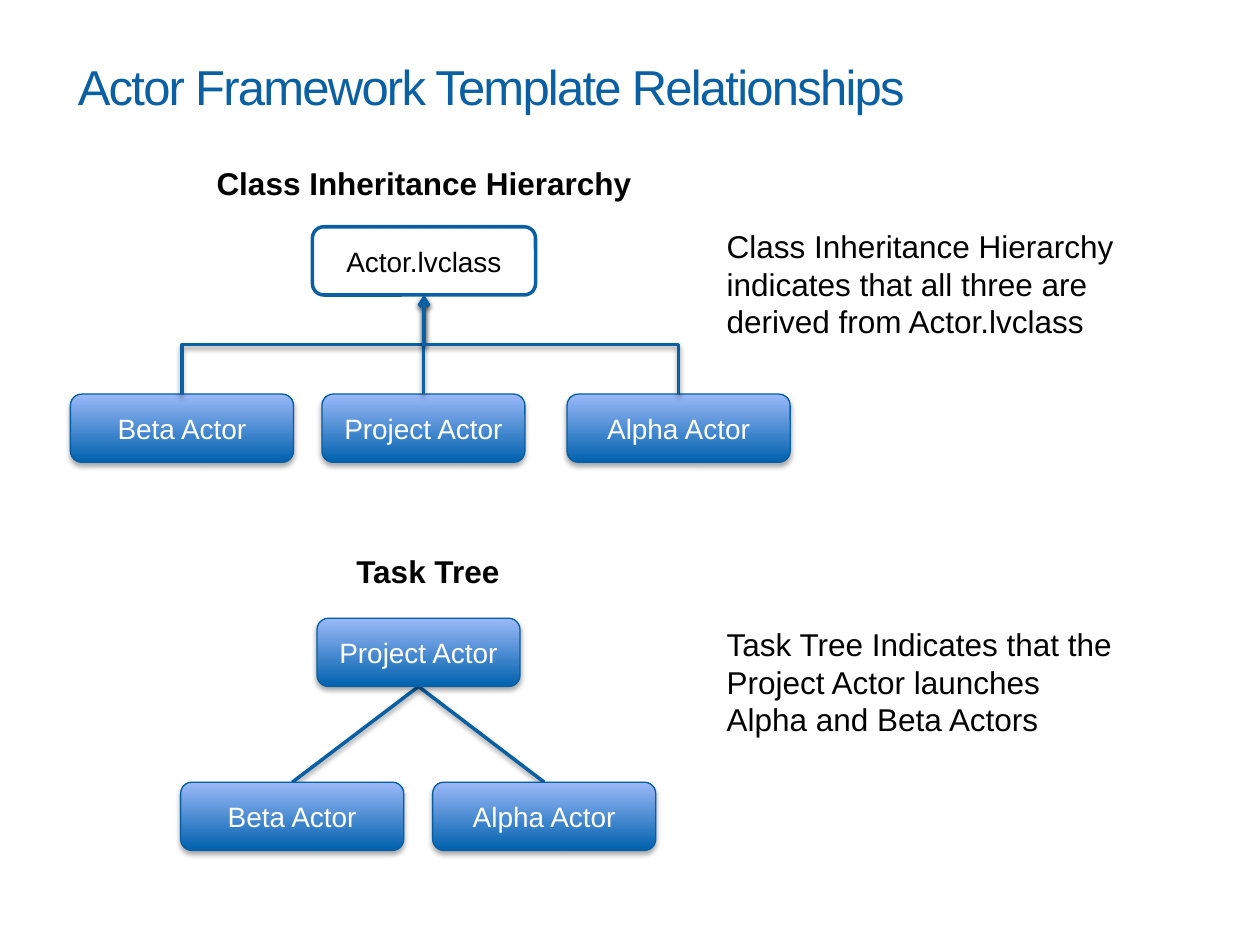
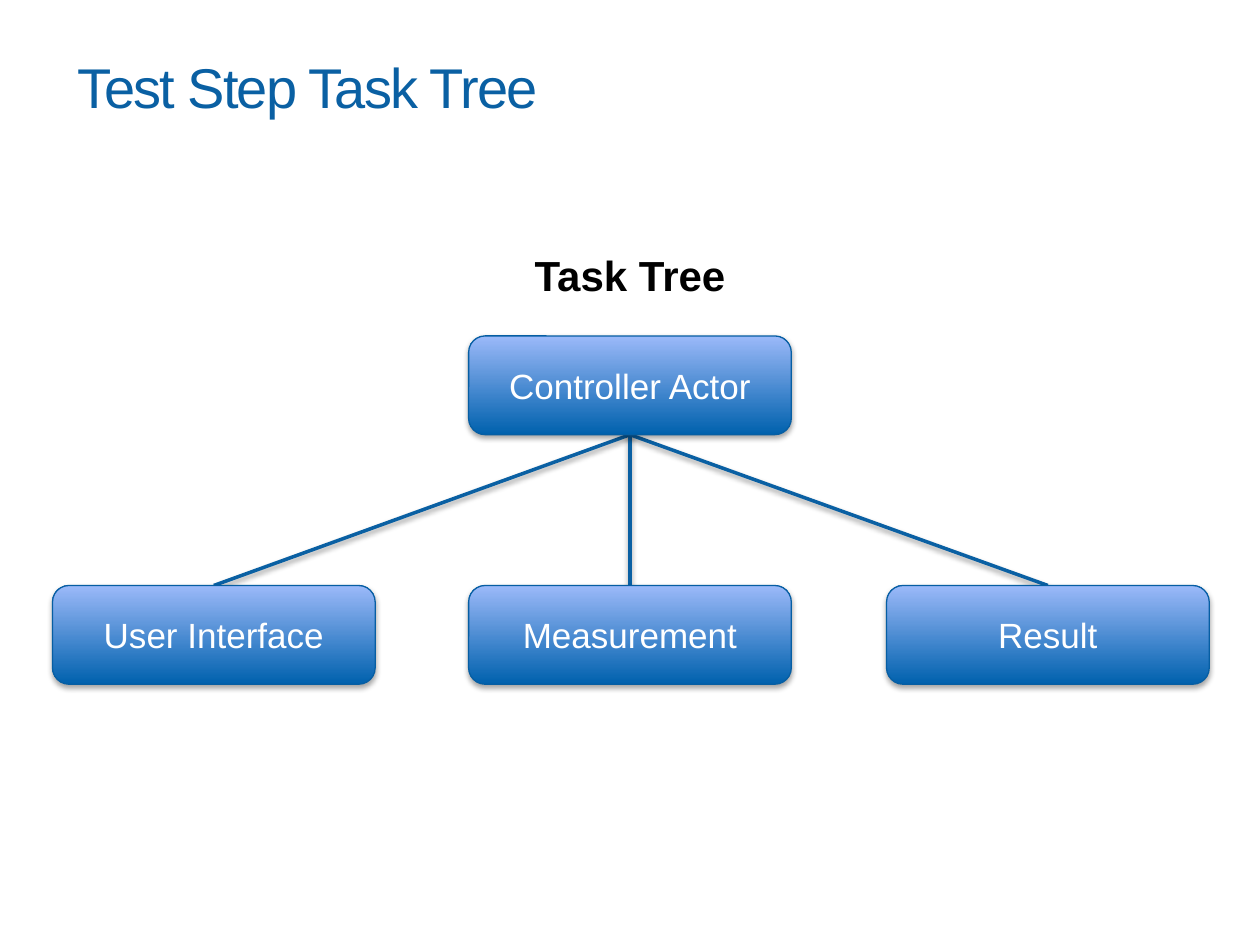
"""Build two slides of actor hierarchies and task trees."""
from dataclasses import dataclass

from lxml.etree import SubElement
from pptx import Presentation
from pptx.dml.color import RGBColor
from pptx.enum.shapes import MSO_CONNECTOR, MSO_SHAPE
from pptx.enum.text import MSO_ANCHOR, PP_ALIGN
from pptx.oxml.ns import qn
from pptx.util import Pt


@dataclass(frozen=True)
class Theme:
    font: str = "Arial"
    blue: str = "0A60A3"
    edge: str = "065EA3"
    dark: str = "0061AD"
    light: str = "9BB9F9"
    white: str = "FFFFFF"
    black: str = "000000"
    note: int = 18
    thick: float = 2
    thin: float = 0.75
    blur: float = 3.1


THEME = Theme()
TITLE = (37.4, 11.5, 643, 75.6)

SLIDES = [
    {
        "title": ("Actor Framework Template Relationships", 28),
        "heads": [
            ("Class Inheritance Hierarchy", (97.2, 90, 290.2, 28.8), 18),
            ("Task Tree", (99.4, 311.8, 290.2, 28.8), 18),
        ],
        "notes": [
            ("Class Inheritance Hierarchy indicates that all three are "
             "derived from Actor.lvclass", (408.2, 126, 241.4, 72.7)),
            ("Task Tree Indicates that the Project Actor launches "
             "Alpha and Beta Actors", (408.2, 353.5, 241.9, 72.7)),
        ],
        "trees": [
            {"root": ("Actor.lvclass", 242.3, 127.5), "tops": (129.6, 225.2),
             "kids": [("Beta Actor", 104, 127.5),
                      ("Project Actor", 242, 116),
                      ("Alpha Actor", 387.8, 127.5)],
             "high": 39, "size": 16, "bent": True},
            {"root": ("Project Actor", 239.2, 116), "tops": (353.3, 447),
             "kids": [("Beta Actor", 167, 127.5),
                      ("Alpha Actor", 311, 127.5)],
             "high": 39, "size": 16, "bent": False},
        ],
    },
    {
        "title": ("Test Step Task Tree", 32),
        "heads": [("Task Tree", (149.8, 139, 420.5, 36), 24)],
        "notes": [],
        "trees": [
            {"root": ("Controller Actor", 360, 184.4), "tops": (192, 334.6),
             "kids": [("User Interface", 122.2, 184.4),
                      ("Measurement", 360, 184.4),
                      ("Result", 598.8, 184.4)],
             "high": 56.4, "size": 20, "bent": False},
        ],
    },
]


def tint(name):
    return RGBColor.from_string(name)


def write(shape, text, size, color, align=PP_ALIGN.LEFT, bold=False):
    frame = shape.text_frame
    frame.text = text
    frame.word_wrap = True
    para = frame.paragraphs[0]
    para.alignment = align
    font = para.runs[0].font
    font.name, font.size, font.bold = THEME.font, Pt(size), bold
    font.color.rgb = tint(color)
    return frame


def add_text(slide, text, area, size, color=THEME.black, **look):
    box = slide.shapes.add_textbox(*map(Pt, area))
    return write(box, text, size, color, **look)


def add_title(slide, text, size):
    frame = add_text(slide, text, TITLE, size, THEME.blue)
    frame.vertical_anchor = MSO_ANCHOR.MIDDLE
    frame.paragraphs[0].runs[0].font._element.set("spc", "-100")


def cast(effects, dist, alpha):
    shade = SubElement(effects, qn("a:outerShdw"), blurRad=str(Pt(THEME.blur)),
                       dist=str(Pt(dist)), dir="5400000", rotWithShape="0")
    color = SubElement(shade, qn("a:srgbClr"), val=THEME.black)
    SubElement(color, qn("a:alpha"), val=str(alpha * 1000))


def add_box(slide, node, top, high, size, plain=False):
    text, mid, wide = node
    box = slide.shapes.add_shape(MSO_SHAPE.ROUNDED_RECTANGLE,
                                 *map(Pt, (mid - wide / 2, top, wide, high)))
    box.shadow.inherit = False
    if plain:
        box.fill.solid()
        box.fill.fore_color.rgb = tint(THEME.white)
    else:
        box.fill.gradient()
        box.fill.gradient_angle = 90
        for stop, color in zip(box.fill.gradient_stops, (THEME.dark, THEME.light)):
            stop.color.rgb = tint(color)
        cast(box.element.spPr.find(qn("a:effectLst")), 1.8, 35)
    box.line.color.rgb = tint(THEME.blue if plain else THEME.edge)
    box.line.width = Pt(THEME.thick if plain else THEME.thin)
    frame = write(box, text, size, THEME.black if plain else THEME.white,
                  PP_ALIGN.CENTER)
    frame.vertical_anchor = MSO_ANCHOR.MIDDLE


def add_link(slide, start, end, bent):
    kind, ends = MSO_CONNECTOR.STRAIGHT, (*start, *end)
    if bent:
        kind = MSO_CONNECTOR.ELBOW
        run, rise = end[0] - start[0], start[1] - end[1]
        x, y = (start[0] + end[0]) / 2, (start[1] + end[1]) / 2
        ends = (x - rise / 2, y - run / 2, x + rise / 2, y + run / 2)
    link = slide.shapes.add_connector(kind, *map(Pt, ends))
    link.line.color.rgb = tint(THEME.blue)
    link.line.width = Pt(THEME.thick)
    props = link.element.spPr
    if bent:
        props.find(qn("a:xfrm")).set("rot", "16200000")
        SubElement(props.find(qn("a:ln")), qn("a:tailEnd"), type="arrow")
    cast(SubElement(props, qn("a:effectLst")), 1.6, 38)


def add_tree(slide, tree):
    root, kids, bent = tree["root"], tree["kids"], tree["bent"]
    high, size = tree["high"], tree["size"]
    top, base = tree["tops"]

    def add_links():
        for _, mid, _ in kids:
            add_link(slide, (mid, base), (root[1], top + high), bent)

    if not bent:
        add_links()
    for kid in kids:
        add_box(slide, kid, base, high, size)
    add_box(slide, root, top, high, size, plain=bent)
    if bent:
        add_links()


def main():
    deck = Presentation()
    deck.slide_width, deck.slide_height = Pt(720), Pt(540)
    for page in SLIDES:
        slide = deck.slides.add_slide(deck.slide_layouts[6])
        add_title(slide, *page["title"])
        for tree in page["trees"]:
            add_tree(slide, tree)
        for text, area in page["notes"]:
            add_text(slide, text, area, THEME.note)
        for text, area, size in page["heads"]:
            add_text(slide, text, area, size, align=PP_ALIGN.CENTER, bold=True)
    deck.save("out.pptx")


if __name__ == "__main__":
    main()
